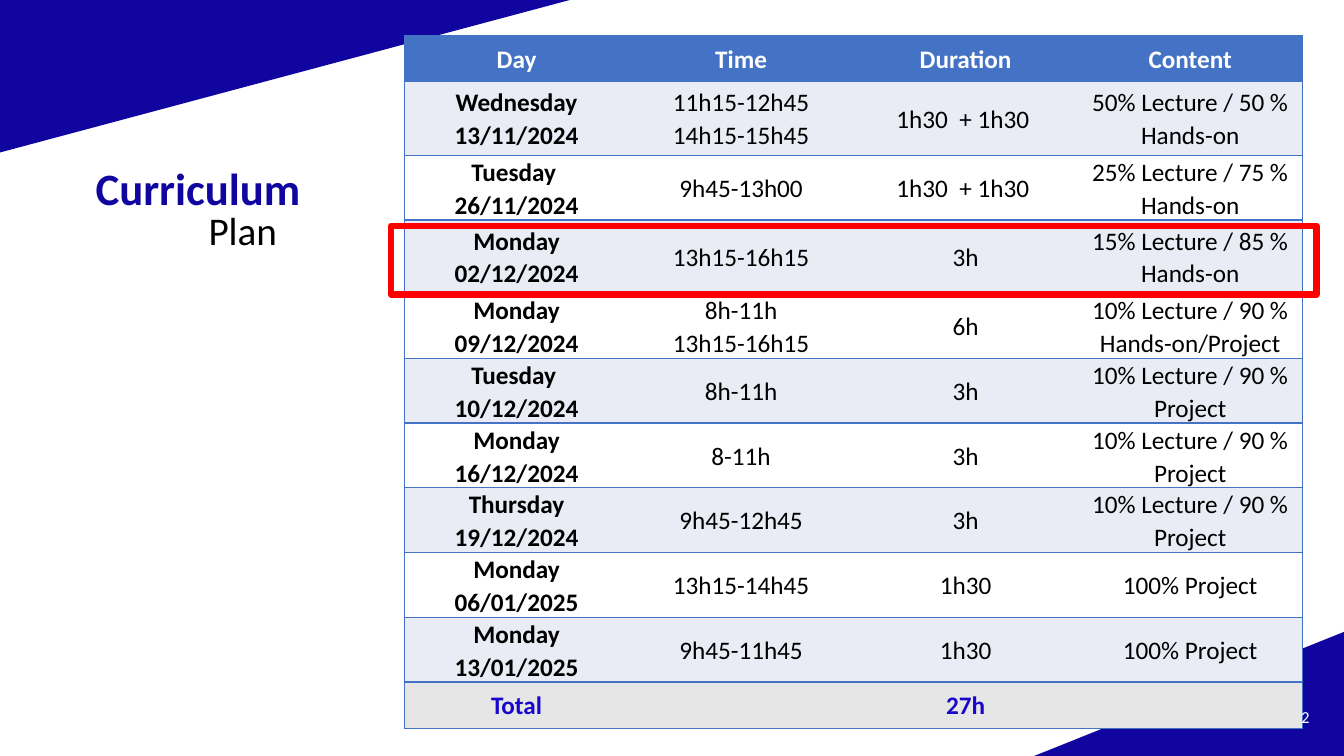
from pptx import Presentation
from pptx.dml.color import RGBColor
from pptx.enum.shapes import MSO_SHAPE
from pptx.enum.text import MSO_ANCHOR, PP_ALIGN
from pptx.util import Pt
from lxml.etree import SubElement
from pptx.oxml.ns import qn

NAVY = RGBColor(0x10, 0x06, 0x9F)
VIOLET = RGBColor(0x19, 0x07, 0xC9)
BLUE = RGBColor(0x44, 0x72, 0xC4)
PALE = RGBColor(0xE9, 0xEB, 0xF5)
GREY = RGBColor(0xE7, 0xE6, 0xE6)
WHITE = RGBColor(0xFF, 0xFF, 0xFF)
BLACK = RGBColor(0, 0, 0)
RED = RGBColor(0xFF, 0, 0)

ROWS = [
    ("Day", "Time", "Duration", "Content"),
    ("Wednesday 13/11/2024", "11h15-12h45\v14h15-15h45", "1h30  + 1h30 ", "50% Lecture / 50 % Hands-on"),
    ("Tuesday \v26/11/2024", "9h45-13h00", "1h30  + 1h30 ", "25% Lecture / 75 % Hands-on"),
    ("Monday 02/12/2024", "13h15-16h15", "3h", "15% Lecture / 85 % Hands-on"),
    ("Monday 09/12/2024", "8h-11h\v13h15-16h15", "6h", "10% Lecture / 90 % Hands-on/Project"),
    ("Tuesday \v10/12/2024", "8h-11h", "3h", "10% Lecture / 90 % Project"),
    ("Monday\v16/12/2024", "8-11h", "3h", "10% Lecture / 90 % Project"),
    ("Thursday\v19/12/2024", "9h45-12h45", "3h", "10% Lecture / 90 % Project"),
    ("Monday 06/01/2025", "13h15-14h45", "1h30", "100% Project"),
    ("Monday\v13/01/2025", "9h45-11h45", "1h30", "100% Project"),
    ("Total", "", "27h", ""),
]
LAST = len(ROWS) - 1

deck = Presentation()
deck.slide_width, deck.slide_height = Pt(960), Pt(540)
slide = deck.slides.add_slide(deck.slide_layouts[6])
shapes = slide.shapes


def style(para, size, color, bold=False):
    for run in para.runs:
        run.font.name = "Calibri"
        run.font.size = Pt(size)
        run.font.bold = bold
        run.font.color.rgb = color


def label(text, box, size, color, bold=False):
    frame = shapes.add_textbox(*map(Pt, box)).text_frame
    frame.word_wrap = True
    frame.text = text
    style(frame.paragraphs[0], size, color, bold)
    return frame


for box, turn in [((0, 0, 407, 108.9), 180), ((738.7, 451.4, 221.3, 88.6), 0)]:
    corner = shapes.add_shape(MSO_SHAPE.RIGHT_TRIANGLE, *map(Pt, box))
    corner.shadow.inherit = False
    corner.fill.solid()
    corner.fill.fore_color.rgb = NAVY
    corner.line.fill.background()
    corner.rotation = turn
    corner._element.spPr.find(qn("a:xfrm")).set("flipH", "1")

title = label("Curriculum", (61.2, 120.2, 815.8, 32.4), 32, NAVY, True)
title.vertical_anchor = MSO_ANCHOR.MIDDLE
title.paragraphs[0].line_spacing = 0.9

table = shapes.add_table(len(ROWS), 4, Pt(288.8), Pt(25.3), Pt(641.6), Pt(488)).table
table._tbl.tblPr[0].text = "{2D5ABB26-0587-4C30-8999-92F81FD0307C}"

for r, texts in enumerate(ROWS):
    table.rows[r].height = Pt(52.6 if r in (1, 3) else 33)
    ends = r in (0, LAST)
    if r == 0:
        fill, ink = BLUE, WHITE
    elif r == LAST:
        fill, ink = GREY, VIOLET
    else:
        fill, ink = PALE if r % 2 else WHITE, BLACK
    for c, text in enumerate(texts):
        cell = table.cell(r, c)
        cell.margin_left = cell.margin_right = Pt(5.4)
        cell.margin_top = cell.margin_bottom = 0
        cell.vertical_anchor = MSO_ANCHOR.MIDDLE
        cell.text_frame.text = text
        para = cell.text_frame.paragraphs[0]
        para.alignment = PP_ALIGN.CENTER
        para.line_spacing = 1.07
        para.space_after = Pt(8)
        style(para, 18, ink, ends or c == 0)
        sides = {0: ["lnL"], 3: ["lnR"]}.get(c, []) + ["lnT", "lnB"]
        props = cell._tc.get_or_add_tcPr()
        for side in sides:
            edge = SubElement(props, qn("a:" + side), w=str(Pt(1)))
            SubElement(SubElement(edge, qn("a:solidFill")), qn("a:srgbClr"), val=str(BLUE))
        cell.fill.solid()
        cell.fill.fore_color.rgb = fill

plan = label("Plan", (139.7, 147.6, 671.8, 27.4), 28, BLACK).paragraphs[0]
plan.line_spacing = 0.9
plan.space_before = Pt(10)
plan._p.get_or_add_pPr().set("marL", str(Pt(2.2)))

mark = shapes.add_shape(MSO_SHAPE.RECTANGLE, Pt(279.4), Pt(161.3), Pt(661), Pt(49))
mark.shadow.inherit = False
mark.fill.background()
mark.line.color.rgb = RED
mark.line.width = Pt(4.5)

page = label("2", (849.6, 497.5, 92.9, 28.8), 12, WHITE)
page.vertical_anchor = MSO_ANCHOR.MIDDLE
page.paragraphs[0].alignment = PP_ALIGN.RIGHT

deck.save("out.pptx")
